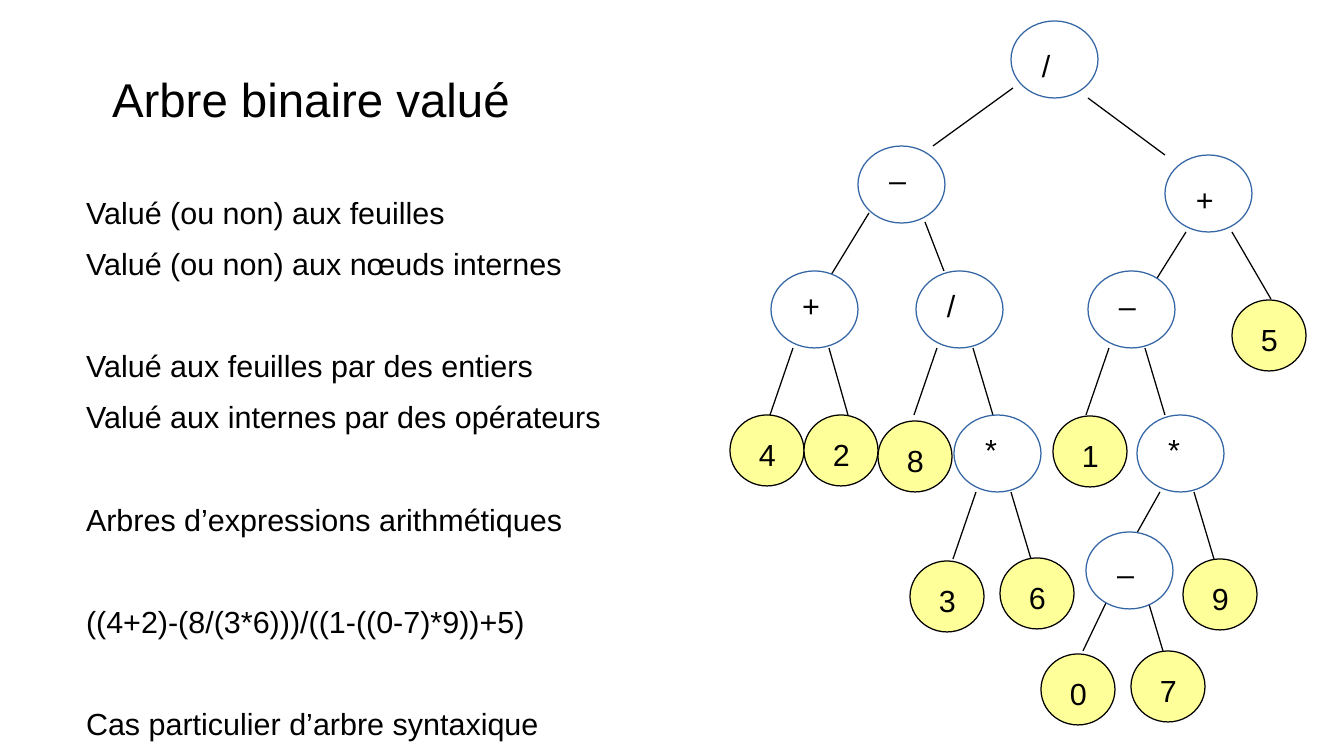
"""Build a slide on valued binary trees, with an arithmetic expression tree."""
import pptx
import pptx.util
import pptx.dml.color
import pptx.enum.shapes
import pptx.enum.text
import pptx.oxml.ns
import lxml.etree

SIZE = (1344, 756)
SCALE = 914400 / 122
FONT = "Arial"
COLORS = {"text": "000000", "edge": "000000", "node": "FFFFFF",
          "node_line": "3465A4", "leaf": "FFFF99", "leaf_line": "000000"}

TITLE = "Arbre binaire valué"
TITLE_INDENT = 26
TEXT_BOX = (74, 63, 545, 680)
LINE_PITCH = 30.2
GROUPS = [
    ["Valué (ou non) aux feuilles", "Valué (ou non) aux nœuds internes"],
    ["Valué aux feuilles par des entiers", "Valué aux internes par des opérateurs"],
    ["Arbres d’expressions arithmétiques"],
    ["((4+2)-(8/(3*6)))/((1-((0-7)*9))+5)"],
    ["Cas particulier d’arbre syntaxique"],
]

KINDS = {
    "node": {"size": (87, 77), "label_dx": 19, "label_size": (67, 46)},
    "leaf": {"size": (74, 71), "label_dx": 17, "label_size": (46, 46)},
}
OPERATORS = [
    ("/", 1011, 21, 20), ("–", 858, 146, 9), ("+", 1165, 155, 20),
    ("+", 771, 271, 10), ("/", 916, 271, 10), ("–", 1088, 271, 10),
    ("*", 954, 415, 10), ("*", 1137, 415, 10), ("–", 1086, 532, 17),
]
LEAVES = [
    ("4", 730, 415), ("2", 804, 415), ("8", 878, 421), ("1", 1053, 416),
    ("5", 1232, 300), ("3", 910, 561), ("6", 1000, 558), ("9", 1183, 559),
    ("0", 1041, 654), ("7", 1131, 651),
]
LEAF_LABEL_DY = 15
EDGES = [
    (1013, 88, 933, 146), (1088, 98, 1165, 155),
    (869, 213, 828, 280), (925, 222, 944, 271),
    (1186, 232, 1144, 299), (1232, 232, 1271, 299),
    (793, 348, 770, 415), (829, 348, 848, 415),
    (937, 348, 914, 415), (973, 348, 993, 415),
    (1109, 348, 1086, 415), (1145, 348, 1165, 415),
    (976, 492, 953, 559), (1011, 492, 1031, 559),
    (1160, 492, 1137, 533), (1194, 492, 1214, 559),
    (1106, 603, 1083, 651), (1149, 604, 1163, 651),
]


def px(*lengths):
    return [pptx.util.Emu(round(n * SCALE)) for n in lengths]


def rgb(name):
    return pptx.dml.color.RGBColor.from_string(COLORS[name])


def add_box(s, box, wrap=True):
    tf = s.shapes.add_textbox(*px(*box)).text_frame
    tf.word_wrap = wrap
    return tf


def write(p, text, size=18, **spacing):
    for name, value in spacing.items():
        setattr(p, name, value)
    r = p.add_run()
    r.text = text
    for name, value in {"name": FONT, "size": pptx.util.Pt(size)}.items():
        setattr(r.font, name, value)
    r.font.color.rgb = rgb("text")


def add_text(s):
    tf = add_box(s, TEXT_BOX)
    tf.margin_top = px(12)[0]
    p = tf.paragraphs[0]
    p._p.get_or_add_pPr().set("marL", str(px(TITLE_INDENT)[0]))
    write(p, TITLE, 28, line_spacing=0.93)
    pitch = pptx.util.Pt(LINE_PITCH)
    for group in GROUPS:
        for i, line in enumerate(group):
            write(tf.add_paragraph(), line, line_spacing=pitch,
                  space_before=pptx.util.Pt(0) if i else pitch)


def add_edge(s, ends):
    sp = s.shapes.add_connector(pptx.enum.shapes.MSO_CONNECTOR.STRAIGHT, *px(*ends))
    sp.line.width = pptx.util.Pt(0.75)
    sp.line.color.rgb = rgb("edge")
    lxml.etree.SubElement(sp._element.spPr, pptx.oxml.ns.qn("a:effectLst"))


def add_node(s, kind, label, x, y, label_dy):
    fmt = KINDS[kind]
    sp = s.shapes.add_shape(pptx.enum.shapes.MSO_SHAPE.OVAL, *px(x, y, *fmt["size"]))
    sp.shadow.inherit = False
    sp.fill.solid()
    sp.fill.fore_color.rgb = rgb(kind)
    sp.line.color.rgb = rgb(kind + "_line")
    sp.line.width = pptx.util.Pt(0.75)
    tf = add_box(s, (x + fmt["label_dx"], y + label_dy, *fmt["label_size"]))
    write(tf.paragraphs[0], label)


def main():
    prs = pptx.Presentation()
    prs.slide_width, prs.slide_height = px(*SIZE)
    s = prs.slides.add_slide(prs.slide_layouts[6])
    add_text(s)
    for ends in EDGES:
        add_edge(s, ends)
    for operator in OPERATORS:
        add_node(s, "node", *operator)
    for leaf in LEAVES:
        add_node(s, "leaf", *leaf, LEAF_LABEL_DY)
    prs.save("out.pptx")


if __name__ == "__main__":
    main()
